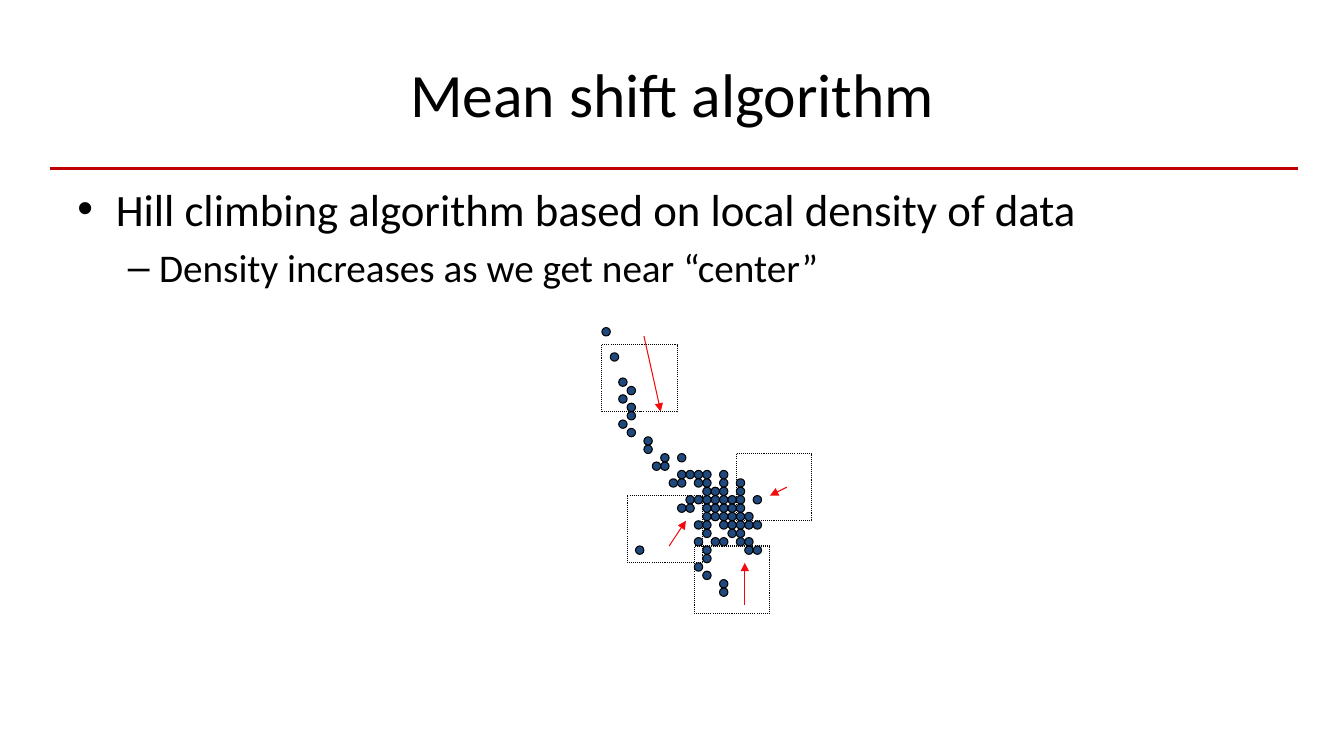
from lxml import etree
from pptx import Presentation
from pptx.dml.color import RGBColor
from pptx.enum.dml import MSO_LINE
from pptx.enum.shapes import MSO_CONNECTOR, MSO_SHAPE
from pptx.enum.text import MSO_ANCHOR, PP_ALIGN
from pptx.oxml.ns import qn
from pptx.util import Inches, Pt

STRAIGHT = MSO_CONNECTOR.STRAIGHT
RECTANGLE, OVAL = MSO_SHAPE.RECTANGLE, MSO_SHAPE.OVAL
DOTTED = MSO_LINE.ROUND_DOT
MIDDLE, TOP = MSO_ANCHOR.MIDDLE, MSO_ANCHOR.TOP
CENTER, LEFT = PP_ALIGN.CENTER, PP_ALIGN.LEFT

FONT = "Calibri"
BLACK, NAVY, RED, DARK_RED = "000000", "1F497D", "F40A0A", "C00000"

GRID_LEFT, GRID_TOP, PITCH = 5.97, 3.25, 1 / 12
WINDOW_COLUMNS, WINDOW_ROWS = 9, 8

DATA_COLUMNS_BY_ROW = {
    0: [0], 3: [1], 6: [2], 7: [3], 8: [2], 9: [3], 10: [3], 11: [2],
    12: [3], 13: [5], 14: [5], 15: [7, 9], 16: [6, 7],
    17: [9, 10, 11, 12, 14],
    18: [8, 9, 11, 12, 14, 16],
    19: [12, 13, 14, 16],
    20: [10, 11, 12, 13, 14, 15, 16, 18],
    21: [9, 10, 12, 13, 14, 15, 16],
    22: [12, 13, 14, 15, 16, 17],
    23: [11, 12, 14, 15, 16, 17, 18],
    24: [12, 15, 16],
    25: [11, 13, 14, 16, 17],
    26: [4, 12, 17, 18],
    27: [12], 28: [11], 29: [12], 30: [14], 31: [14],
}
WINDOWS = [(11, 26), (16, 15), (0, 2), (3, 20)]
SHIFTS = [
    ((5, 1), (7, 10)),
    ((8, 26), (10, 23)),
    ((17, 33), (17, 28)),
    ((22, 19), (20, 20)),
]
BULLETS = [
    ("Hill climbing algorithm based on local density of data", 0, "•", 32, 0.38, -0.38),
    ("Density increases as we get near “center”", 1, "–", 28, 0.81, -0.31),
]


def color(hex_string):
    """Return the colour for a hex string."""
    return RGBColor.from_string(hex_string)


def grid_point(column, row):
    """Return the position of a grid cell's corner."""
    return Inches(GRID_LEFT + column * PITCH), Inches(GRID_TOP + row * PITCH)


def add_line(slide, start, end, line_color, width):
    """Add a straight line without shadow."""
    line = slide.shapes.add_connector(STRAIGHT, *start, *end)
    line.line.color.rgb = color(line_color)
    line.line.width = Pt(width)
    etree.SubElement(line._element.spPr, qn("a:effectLst"))
    return line


def add_shift_arrow(slide, start, end):
    """Add a red arrow between two grid points."""
    arrow = add_line(slide, grid_point(*start), grid_point(*end), RED, 0.75)
    etree.SubElement(arrow.line._get_or_add_ln(), qn("a:tailEnd"), type="triangle")


def add_grid_shape(slide, kind, column, row, columns=1, rows=1):
    """Add a thinly outlined shape that covers the given grid cells."""
    shape = slide.shapes.add_shape(
        kind, *grid_point(column, row), Inches(columns * PITCH), Inches(rows * PITCH))
    shape.shadow.inherit = False
    shape.line.color.rgb = color(BLACK)
    shape.line.width = Pt(0.75)
    return shape


def add_window(slide, column, row):
    """Add a dotted search window."""
    window = add_grid_shape(slide, RECTANGLE, column, row, WINDOW_COLUMNS, WINDOW_ROWS)
    window.fill.background()
    window.line.dash_style = DOTTED


def add_data_point(slide, column, row):
    """Add one data point."""
    point = add_grid_shape(slide, OVAL, column, row)
    point.fill.solid()
    point.fill.fore_color.rgb = color(NAVY)


def add_text_frame(slide, top, height, anchor):
    """Add a wrapping text box of the content width and return its frame."""
    frame = slide.shapes.add_textbox(
        Inches(0.67), Inches(top), Inches(12), Inches(height)).text_frame
    frame.word_wrap = True
    frame.vertical_anchor = anchor
    return frame


def write(paragraph, text, size, alignment):
    """Fill a paragraph with styled text."""
    paragraph.text = text
    paragraph.alignment = alignment
    paragraph.font.name = FONT
    paragraph.font.size = Pt(size)
    paragraph.font.color.rgb = color(BLACK)


def add_bullets(frame):
    """Write the bulleted lines into a text frame."""
    for index, (text, level, mark, size, margin, indent) in enumerate(BULLETS):
        paragraph = frame.add_paragraph() if index else frame.paragraphs[0]
        paragraph.level = level
        properties = paragraph._p.get_or_add_pPr()
        properties.set("marL", str(Inches(margin)))
        properties.set("indent", str(Inches(indent)))
        etree.SubElement(properties, qn("a:buFont"), typeface="Arial")
        etree.SubElement(properties, qn("a:buChar"), char=mark)
        if index:
            paragraph.space_before = Pt(size * 0.2)
        write(paragraph, text, size, LEFT)


def main():
    """Build the mean shift slide."""
    presentation = Presentation()
    presentation.slide_width = Inches(13.33)
    presentation.slide_height = Inches(7.5)
    slide = presentation.slides.add_slide(presentation.slide_layouts[6])

    add_line(slide, (Inches(0.5), Inches(1.67)), (Inches(12.87), Inches(1.67)), DARK_RED, 2)
    title = add_text_frame(slide, 0.3, 1.25, MIDDLE)
    write(title.paragraphs[0], "Mean shift algorithm", 44, CENTER)
    add_bullets(add_text_frame(slide, 1.75, 4.95, TOP))

    for start, end in SHIFTS:
        add_shift_arrow(slide, start, end)
    for column, row in WINDOWS:
        add_window(slide, column, row)
    for row, columns in DATA_COLUMNS_BY_ROW.items():
        for column in columns:
            add_data_point(slide, column, row)

    presentation.save("out.pptx")


if __name__ == "__main__":
    main()
